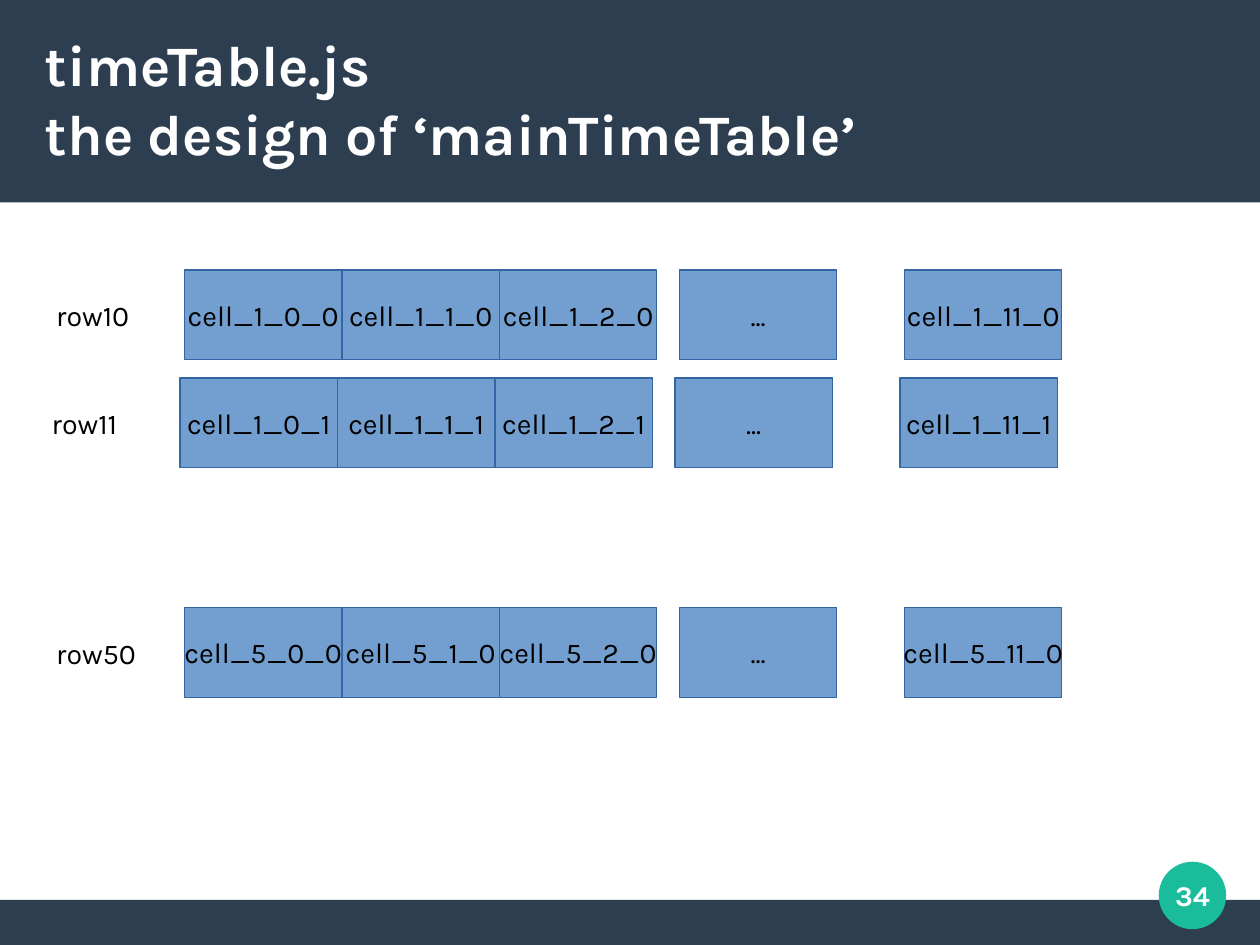
from pptx import Presentation, util as u
from pptx.dml.color import RGBColor
from pptx.enum import shapes, text

COLUMNS, ROWS = 28, 21
NAVY, GREEN, WHITE, BLACK = "2C3E50", "1ABC9C", "FFFFFF", "000000"
CELL_FILL, CELL_EDGE = "729FCF", "3465A4"
CELL_WIDTH, CELL_HEIGHT = 3.5, 2
CELL_OFFSETS = {"0": 0, "1": 3.5, "2": 7, "11": 16, "...": 11}
# day, slot, left of the first cell, top
TIME_ROWS = [(1, 0, 4.1, 6), (1, 1, 4, 8.4), (5, 0, 4.1, 13.5)]


def colour(hex_string):
    return RGBColor.from_string(hex_string)


class TimetableSlide:
    """Style and current slide; lengths are columns and rows of a 28 x 21 grid."""
    font = "Karla"
    size = 18

    def __init__(self, deck):
        self.column = deck.slide_width / COLUMNS
        self.row = deck.slide_height / ROWS
        self.slide = deck.slides.add_slide(deck.slide_layouts[5])

    def area(self, left, top, width, height):
        return (round(left * self.column), round(top * self.row),
                round(width * self.column), round(height * self.row))

    def add_text(self, frame, lines, ink=BLACK, size=None, bold=False,
                 align=text.PP_ALIGN.CENTER, anchor=text.MSO_ANCHOR.MIDDLE):
        frame.vertical_anchor = anchor
        paragraph = frame.paragraphs[0]
        paragraph.alignment = align
        for number, line in enumerate(lines):
            if number:
                paragraph.add_line_break()
            run = paragraph.add_run()
            run.text = line
            run.font.name = self.font
            run.font.size = u.Pt(size or self.size)
            run.font.bold = bold
            run.font.color.rgb = colour(ink)

    def no_margins(self, frame):
        frame.margin_left = frame.margin_right = 0
        frame.margin_top = frame.margin_bottom = 0

    def block(self, area, fill, kind=shapes.MSO_SHAPE.RECTANGLE):
        block = self.slide.shapes.add_shape(kind, *self.area(*area))
        block.shadow.inherit = False
        block.fill.solid()
        block.fill.fore_color.rgb = colour(fill)
        block.line.fill.background()
        return block

    def title(self, area, lines):
        """Fill the title placeholder and bring it in front of the header band."""
        title = self.slide.shapes.title
        title.left, title.top, title.width, title.height = self.area(*area)
        frame = title.text_frame
        self.no_margins(frame)
        frame.word_wrap = True
        frame.auto_size = text.MSO_AUTO_SIZE.NONE
        self.add_text(frame, lines, WHITE, 36, True, text.PP_ALIGN.LEFT)
        self.slide.shapes.element.append(title.element)

    def cell(self, left, top, caption):
        cell = self.block((left, top, CELL_WIDTH, CELL_HEIGHT), CELL_FILL)
        cell.line.color.rgb = colour(CELL_EDGE)
        cell.line.width = u.Pt(0)
        cell.text_frame.word_wrap = False
        self.add_text(cell.text_frame, [caption])

    def label(self, left, top, caption):
        frame = self.slide.shapes.add_textbox(
            *self.area(left, top, 2.5, 1.12)).text_frame
        frame.word_wrap = True
        frame.auto_size = text.MSO_AUTO_SIZE.SHAPE_TO_FIT_TEXT
        self.add_text(frame, [caption], align=text.PP_ALIGN.LEFT,
                      anchor=text.MSO_ANCHOR.TOP)

    def page_number(self, number):
        self.block((25.75, 19.15, 1.5, 1.5), GREEN, shapes.MSO_SHAPE.OVAL)
        frame = self.slide.shapes.add_textbox(
            *self.area(25.5, 18.9, 2, 2)).text_frame
        frame.word_wrap = True
        self.no_margins(frame)
        self.add_text(frame, [str(number)], WHITE, bold=True)

    def time_row(self, day, slot, left, top):
        for hour, offset in CELL_OFFSETS.items():
            caption = hour if hour == "..." else f"cell_{day}_{hour}_{slot}"
            self.cell(left + offset, top, caption)
        self.label(left - 3.1, top + 0.5, f"row{day}{slot}")


def main():
    deck = Presentation()
    deck.slide_width, deck.slide_height = u.Cm(COLUMNS), u.Cm(ROWS)
    page = TimetableSlide(deck)
    page.block((0, 20, COLUMNS, 1), NAVY)
    page.block((0, 0, COLUMNS, 4.5), NAVY)
    page.title((1, 0.85, 26, 2.67),
               ["timeTable.js", "the design of ‘mainTimeTable’"])
    for time_row in TIME_ROWS:
        page.time_row(*time_row)
    page.page_number(34)
    deck.save("out.pptx")


if __name__ == "__main__":
    main()
